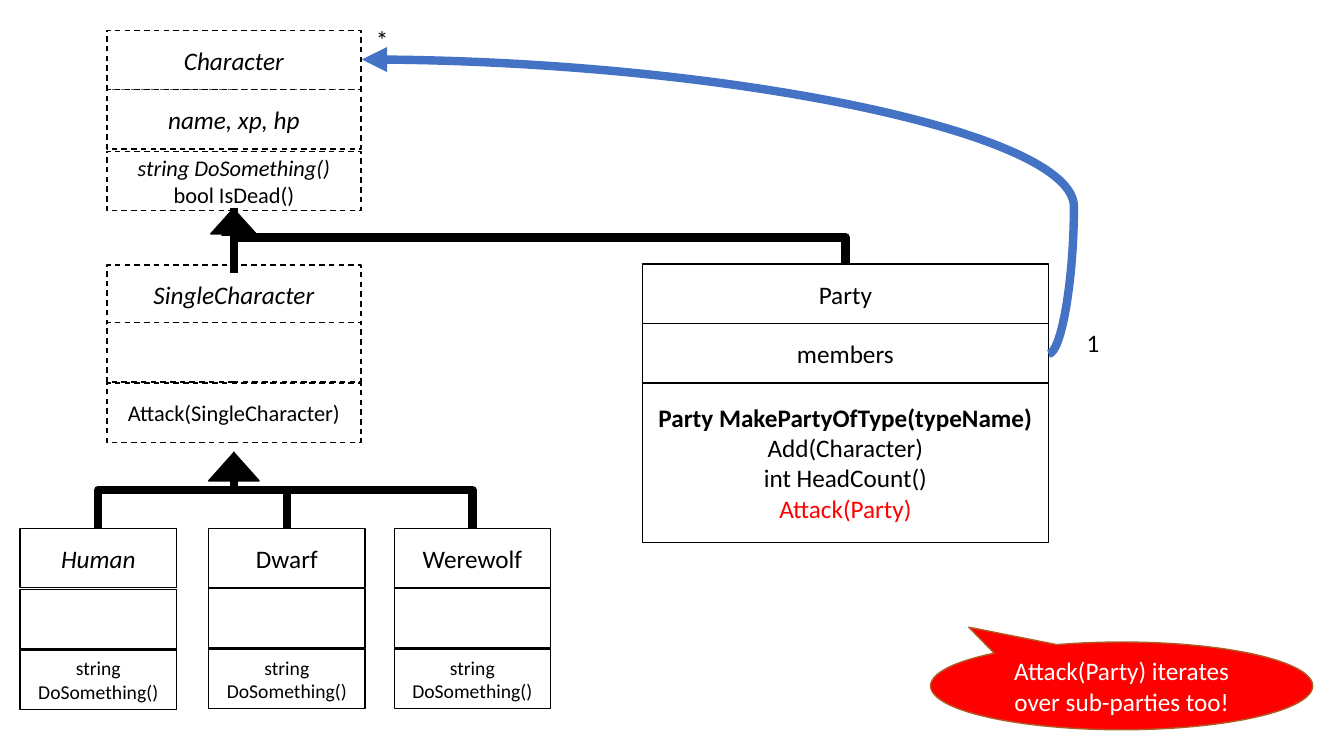
from dataclasses import dataclass

from lxml import etree
from pptx import Presentation
from pptx import util as u
from pptx.dml.color import RGBColor
from pptx.enum import dml, shapes, text
from pptx.oxml.ns import qn


@dataclass(frozen=True)
class Theme:
    font: str = "Calibri"
    ink: str = "000000"
    paper: str = "FFFFFF"
    alert: str = "FF0000"
    callout_edge: str = "AF5C24"
    link: str = "4472C4"
    name: int = 18
    method: int = 16
    small: int = 14
    thin: int = 1
    thick: int = 6


@dataclass(frozen=True)
class Line:
    text: str
    size: int = Theme.name
    bold: bool = False
    italic: bool = False
    color: str = Theme.ink


class Diagram:
    def __init__(self, slide, theme):
        self.slide = slide
        self.theme = theme

    def set_lines(self, tf, lines, align):
        for i, line in enumerate(lines):
            p = tf.paragraphs[0] if i == 0 else tf.add_paragraph()
            p.text = line.text
            p.alignment = align
            p.font.name = self.theme.font
            p.font.size = u.Pt(line.size)
            p.font.bold = line.bold
            p.font.italic = line.italic
            p.font.color.rgb = RGBColor.from_string(line.color)

    def shape(self, kind, at, fill, edge, lines=(), dashed=False):
        sp = self.slide.shapes.add_shape(kind, *map(u.Inches, at))
        sp.shadow.inherit = False
        sp.fill.solid()
        sp.fill.fore_color.rgb = RGBColor.from_string(fill)
        sp.line.color.rgb = RGBColor.from_string(edge)
        sp.line.width = u.Pt(self.theme.thin)
        if dashed:
            sp.line.dash_style = dml.MSO_LINE.DASH
        tf = sp.text_frame
        tf.word_wrap = True
        tf.vertical_anchor = text.MSO_ANCHOR.MIDDLE
        self.set_lines(tf, lines, text.PP_ALIGN.CENTER)
        return sp

    def uml_class(self, left, width, rows, dashed=False):
        for top, height, lines in rows:
            self.shape(shapes.MSO_SHAPE.RECTANGLE, (left, top, width, height),
                       self.theme.paper, self.theme.ink, lines, dashed)

    def triangle(self, *at):
        self.shape(shapes.MSO_SHAPE.ISOSCELES_TRIANGLE, at, self.theme.ink, self.theme.ink)

    def label(self, string, *at):
        tf = self.slide.shapes.add_textbox(*map(u.Inches, at)).text_frame
        tf.word_wrap = False
        tf.auto_size = text.MSO_AUTO_SIZE.SHAPE_TO_FIT_TEXT
        self.set_lines(tf, [Line(string)], text.PP_ALIGN.LEFT)

    def connector(self, kind, start, end, color, arrow=True):
        c = self.slide.shapes.add_connector(kind, *map(u.Inches, (*start, *end)))
        c.line.color.rgb = RGBColor.from_string(color)
        c.line.width = u.Pt(self.theme.thick)
        sp_pr = c._element.spPr
        if arrow:
            etree.SubElement(sp_pr.find(qn("a:ln")), qn("a:tailEnd"), type="triangle")
        etree.SubElement(sp_pr, qn("a:effectLst"))
        return c

    def inherit(self, start, end):
        (x1, y1), (x2, y2) = start, end
        cx, cy = (x1 + x2) / 2, (y1 + y2) / 2
        rise, run = (y1 - y2) / 2, (x2 - x1) / 2
        c = self.connector(shapes.MSO_CONNECTOR.ELBOW, (cx - rise, cy - run),
                           (cx + rise, cy + run), self.theme.ink)
        c._element.spPr.find(qn("a:xfrm")).set("rot", "16200000")

    def curve(self, start, end, bend):
        c = self.connector(shapes.MSO_CONNECTOR.CURVE, start, end, self.theme.link)
        geom = c._element.spPr.find(qn("a:prstGeom"))
        av = geom.find(qn("a:avLst"))
        if av is None:
            av = etree.SubElement(geom, qn("a:avLst"))
        etree.SubElement(av, qn("a:gd"), name="adj1", fmla=f"val {round(bend * 100000)}")


theme = Theme()
prs = Presentation()
prs.slide_width, prs.slide_height = u.Inches(13.33), u.Inches(7.5)
s = Diagram(prs.slides.add_slide(prs.slide_layouts[6]), theme)

ROW = 0.59
BASE_LEFT, BASE_WIDTH = 1.06, 2.52
AXIS = BASE_LEFT + BASE_WIDTH / 2

s.uml_class(BASE_LEFT, BASE_WIDTH, [
    (0.3, ROW, [Line("Character", italic=True)]),
    (0.89, ROW, [Line("name, xp, hp", italic=True)]),
    (1.5, ROW, [Line("string DoSomething()", theme.method, italic=True),
                Line("bool IsDead()", theme.method)]),
], dashed=True)
s.uml_class(BASE_LEFT, BASE_WIDTH, [
    (2.63, ROW, [Line("SingleCharacter", italic=True)]),
    (3.2, ROW, []),
    (3.8, ROW, [Line("Attack(SingleCharacter)", theme.method)]),
], dashed=True)

KIND_TOP, KIND_WIDTH = 5.24, 1.55
s.triangle(2.07, 4.49, 0.5, 0.28)
for left, name, italic, first_step in [(0.2, "Human", True, 0.61),
                                       (2.07, "Dwarf", False, 0.6),
                                       (3.91, "Werewolf", False, 0.6)]:
    middle = KIND_TOP + first_step
    s.inherit((left + KIND_WIDTH / 2, KIND_TOP), (AXIS, 4.48))
    s.uml_class(left, KIND_WIDTH, [
        (KIND_TOP, ROW, [Line(name, italic=italic)]),
        (middle, ROW, []),
        (middle + 0.6, ROW, [Line("string DoSomething()", theme.small)]),
    ])

PARTY_LEFT, PARTY_TOP, PARTY_WIDTH = 6.37, 2.62, 4.03
s.uml_class(PARTY_LEFT, PARTY_WIDTH, [
    (PARTY_TOP, 0.6, [Line("Party")]),
    (3.21, 0.6, [Line("members")]),
    (3.8, 1.58, [Line("Party MakePartyOfType(typeName)", bold=True),
                 Line("Add(Character)\vint HeadCount()"),
                 Line("Attack(Party)", color=theme.alert)]),
])

s.triangle(2.09, 2.07, 0.45, 0.25)
s.connector(shapes.MSO_CONNECTOR.STRAIGHT, (AXIS, 2.71), (AXIS, 2.06), theme.ink, arrow=False)
s.inherit((PARTY_LEFT + PARTY_WIDTH / 2, PARTY_TOP), (AXIS, 2.09))
s.curve((PARTY_LEFT + PARTY_WIDTH, 3.51), (3.59, 0.59), -0.037)
s.label("1", 10.68, 3.2, 0.33, 0.4)
s.label("*", 3.63, 0.19, 0.33, 0.4)

callout = s.shape(shapes.MSO_SHAPE.OVAL_CALLOUT, (9.23, 6.37, 3.79, 0.87),
                  theme.alert, theme.callout_edge,
                  [Line("Attack(Party) iterates over sub-parties too!", color=theme.paper)])
callout.adjustments[0], callout.adjustments[1] = -0.4, -0.67

prs.save("out.pptx")
